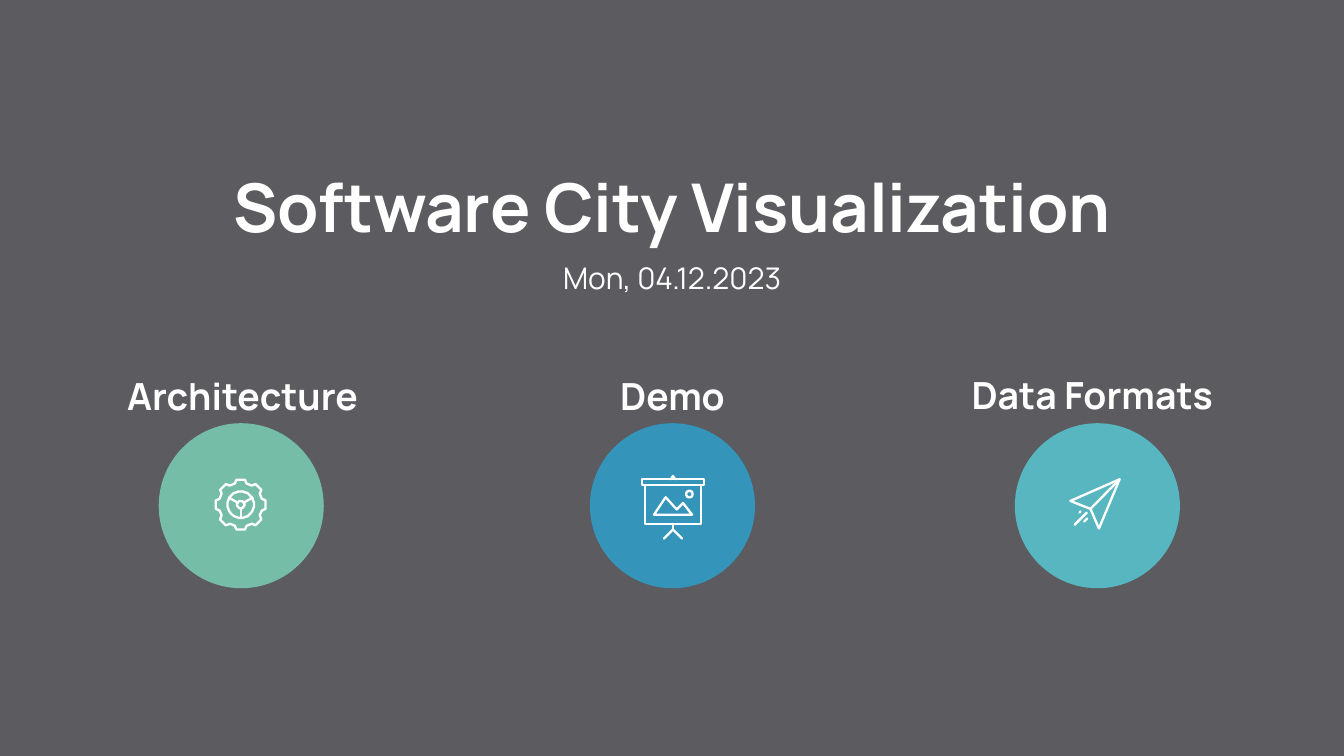
import math
from dataclasses import dataclass

import lxml.etree
import pptx
import pptx.dml.color
import pptx.enum.shapes
import pptx.enum.text
import pptx.oxml.ns
import pptx.util

Cm = pptx.util.Cm
qn = pptx.oxml.ns.qn
Point = tuple[float, float]
Stroke = list[Point]

FONT = "Manrope"
COLOURS = {
    "backdrop": "D9D9D9",
    "shade": "1B1A22",
    "white": "FFFFFF",
    "green": "75BDA7",
    "blue": "3494BA",
    "teal": "58B6C0",
}
SLIDE_WIDTH, SLIDE_HEIGHT = 25.4, 14.29
DISC_SIZE, DISC_TOP = 3.12, 8.0


@dataclass
class Box:
    left: float
    top: float
    width: float
    height: float

    def lengths(self) -> list[int]:
        return [Cm(v) for v in (self.left, self.top, self.width, self.height)]


@dataclass
class Line:
    text: str
    size: int
    bold: bool


@dataclass
class Topic:
    name: str
    colour: str
    centre: float
    label: Box
    icon: list[Stroke]


def rgb(name: str) -> pptx.dml.color.RGBColor:
    return pptx.dml.color.RGBColor.from_string(COLOURS[name])


# Icon strokes, in hundredths of a centimetre from the disc's centre
def polar(centre: Point, radius: float, degrees: float) -> Point:
    angle = math.radians(degrees)
    return (centre[0] + radius * math.cos(angle),
            centre[1] + radius * math.sin(angle))


def circle(centre: Point, radius: float) -> Stroke:
    return [polar(centre, radius, step * 10) for step in range(37)]


def rectangle(left: float, top: float, right: float, bottom: float) -> Stroke:
    return [(left, top), (right, top), (right, bottom), (left, bottom), (left, top)]


def gear_icon() -> list[Stroke]:
    hub = (-1, -2)
    tooth = [(48, -10), (48, 10), (41, 15), (41, 30)]
    rim = [polar(hub, radius, turn * 45 + degrees)
           for turn in range(8) for radius, degrees in tooth]
    spokes = [[polar(hub, 7, degrees), polar(hub, 25, degrees)]
              for degrees in (90, 210, 330)]
    return [rim + rim[:1], circle(hub, 25), circle(hub, 7), *spokes]


def screen_icon() -> list[Stroke]:
    return [
        rectangle(-57, -50, 60, -39),
        rectangle(-52, -39, 54, 34),
        [(-3, -50), (1, -56), (5, -50)],
        [(1, 34), (1, 45)],
        [(-16, 62), (1, 45), (18, 62)],
        circle((32, -22), 6),
        [(-35, 17), (-13, -16), (8, 7), (20, -5), (37, 17), (-35, 17)],
    ]


def plane_icon() -> list[Stroke]:
    nose, fold = (42, -50), (-13, 6)
    return [
        [nose, (-51, -9), fold, (3, 43), nose],
        [fold, nose],
        [(-20, 13), (-43, 36)],
        [(-19, 24), (-25, 30)],
        [(-32, 11), (-34, 13)],
    ]


def add_filled(slide, kind, box: Box, colour: str):
    shape = slide.shapes.add_shape(kind, *box.lengths())
    shape.shadow.inherit = False
    shape.fill.solid()
    shape.fill.fore_color.rgb = rgb(colour)
    shape.line.fill.background()
    return shape


def add_text(slide, box: Box, lines: list[Line]) -> None:
    frame = slide.shapes.add_textbox(*box.lengths()).text_frame
    frame.word_wrap = True
    frame.vertical_anchor = pptx.enum.text.MSO_ANCHOR.MIDDLE
    for index, line in enumerate(lines):
        paragraph = frame.add_paragraph() if index else frame.paragraphs[0]
        paragraph.alignment = pptx.enum.text.PP_ALIGN.CENTER
        paragraph.line_spacing = 1.4
        run = paragraph.add_run()
        run.text = line.text
        run.font.name = FONT
        run.font.size = pptx.util.Pt(line.size)
        run.font.bold = line.bold
        run.font.color.rgb = rgb("white")


def add_icon(slide, centre_x: float, centre_y: float, strokes: list[Stroke]) -> None:
    builder = slide.shapes.build_freeform(*strokes[0][0], scale=Cm(0.01))
    for index, stroke in enumerate(strokes):
        if index:
            builder.move_to(*stroke[0])
        builder.add_line_segments(stroke[1:], close=False)
    icon = builder.convert_to_shape(Cm(centre_x), Cm(centre_y))
    icon.shadow.inherit = False
    icon.fill.background()
    icon.line.color.rgb = rgb("white")
    icon.line.width = pptx.util.Pt(1.25)
    # Round caps and joins
    outline = icon.element.spPr.find(qn("a:ln"))
    outline.set("cap", "rnd")
    lxml.etree.SubElement(outline, qn("a:round"))


def add_topic(slide, topic: Topic) -> None:
    radius = DISC_SIZE / 2
    disc = Box(topic.centre - radius, DISC_TOP, DISC_SIZE, DISC_SIZE)
    add_filled(slide, pptx.enum.shapes.MSO_SHAPE.OVAL, disc, topic.colour)
    add_icon(slide, topic.centre, DISC_TOP + radius, topic.icon)
    add_text(slide, topic.label, [Line(topic.name, 20, True)])


def main() -> None:
    deck = pptx.Presentation()
    deck.slide_width, deck.slide_height = Cm(SLIDE_WIDTH), Cm(SLIDE_HEIGHT)
    slide = deck.slides.add_slide(deck.slide_layouts[6])

    # Backdrop under a translucent shade
    full = Box(0, 0, SLIDE_WIDTH, SLIDE_HEIGHT)
    rect = pptx.enum.shapes.MSO_SHAPE.RECTANGLE
    add_filled(slide, rect, full, "backdrop")
    shade = add_filled(slide, rect, full, "shade")
    shade_colour = shade.element.spPr.find(qn("a:solidFill"))[0]
    lxml.etree.SubElement(shade_colour, qn("a:alpha")).set("val", "66000")

    # Title and date
    add_text(slide, Box(2.67, 1.83, 20.07, 4.44), [
        Line("Software City Visualization", 36, True),
        Line("Mon, 04.12.2023", 16, False),
    ])

    # Topics
    for topic in (
        Topic("Architecture", "green", 4.56, Box(1.98, 6.63, 5.21, 1.37), gear_icon()),
        Topic("Demo", "blue", 12.71, Box(10.26, 6.63, 4.9, 1.37), screen_icon()),
        Topic("Data Formats", "teal", 20.74, Box(18.08, 6.86, 5.13, 0.84), plane_icon()),
    ):
        add_topic(slide, topic)

    deck.save("out.pptx")


if __name__ == "__main__":
    main()
